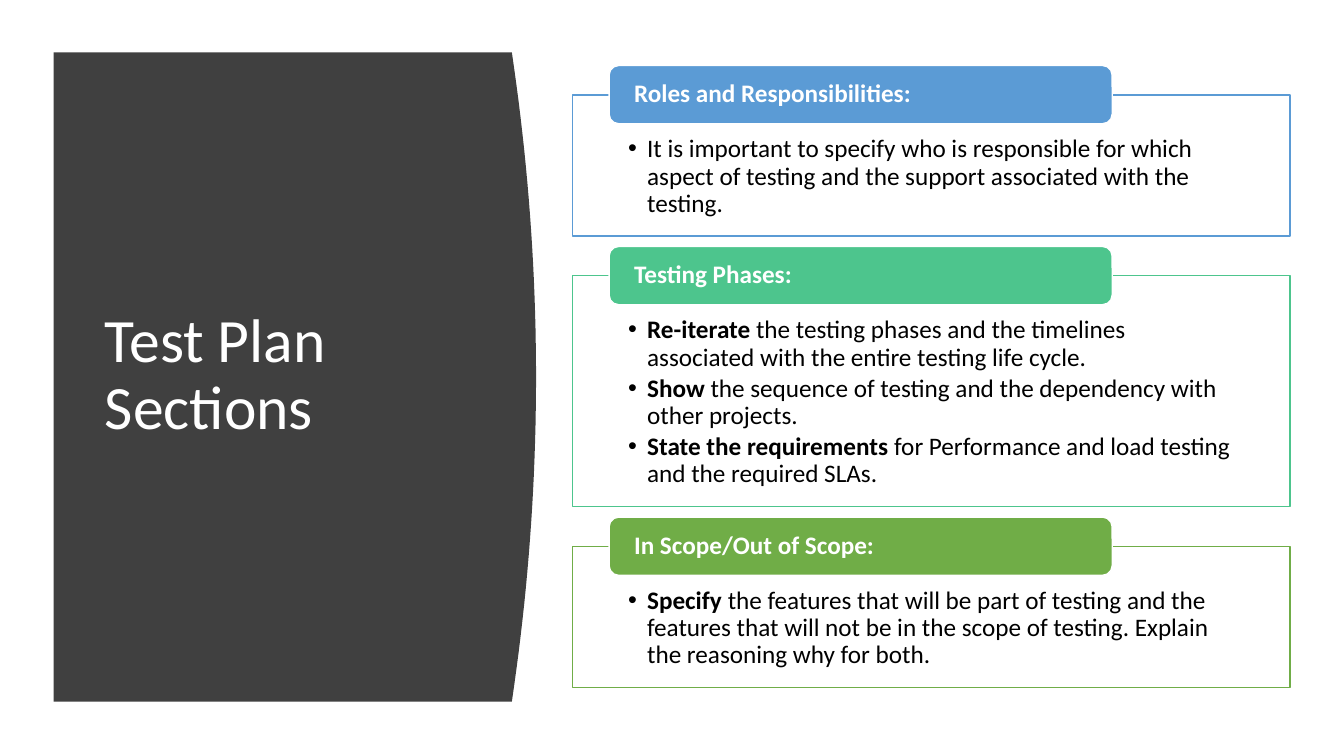
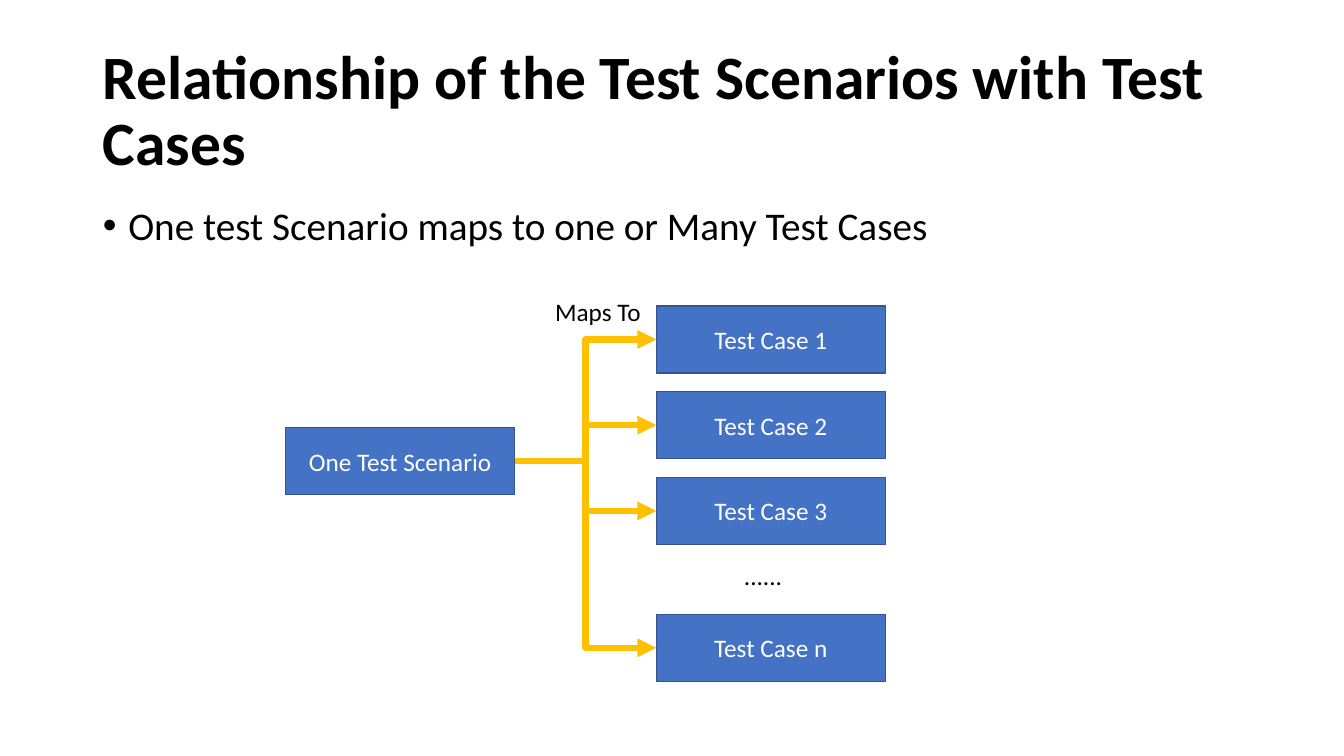
from lxml.etree import SubElement
from pptx import Presentation
from pptx.dml.color import RGBColor
from pptx.enum.shapes import MSO_CONNECTOR, MSO_SHAPE
from pptx.enum.text import MSO_ANCHOR, MSO_AUTO_SIZE, PP_ALIGN
from pptx.oxml.ns import qn
from pptx.util import Cm, Pt

rgb = RGBColor.from_string

WHITE, BLACK, PANEL = "FFFFFF", "000000", "404040"
BOX_FILL, BOX_LINE, ARROW = "4472C4", "325491", "FFC000"

TITLE = {"size": Pt(44), "name": "Calibri"}
BODY = {"size": Pt(28), "name": "Calibri"}
TEXT = {"size": Pt(18), "name": "Calibri"}
TIGHT = {"alignment": PP_ALIGN.LEFT, "line_spacing": 0.9, "space_before": Pt(0)}
LISTED = {**TIGHT, "space_after": Pt(2.7)}
CENTER = {"alignment": PP_ALIGN.CENTER}
MIDDLE = {"vertical_anchor": MSO_ANCHOR.MIDDLE}


def write(sp, lines, font, color, para, frame, indent=0):
    tf = sp.text_frame
    tf.auto_size = MSO_AUTO_SIZE.NONE
    tf.word_wrap = True
    for key, value in frame.items():
        setattr(tf, key, value)
    for i, runs in enumerate(lines):
        p = tf.paragraphs[0] if i == 0 else tf.add_paragraph()
        if indent:
            pPr = p._p.get_or_add_pPr()
            pPr.set("marL", str(Cm(indent)))
            pPr.set("indent", str(-Cm(indent)))
            SubElement(pPr, qn("a:buFont"), typeface="Arial")
            SubElement(pPr, qn("a:buChar"), char="•")
        for key, value in para.items():
            setattr(p, key, value)
        for text, bold in runs:
            r = p.add_run()
            r.text = text
            r.font.bold = bold
            r.font.color.rgb = rgb(color)
            for key, value in font.items():
                setattr(r.font, key, value)


def add_box(s, kind, place, fill, line):
    sp = s.shapes.add_shape(kind, *map(Cm, place))
    sp.shadow.inherit = False
    sp.fill.solid()
    sp.fill.fore_color.rgb = rgb(fill)
    sp.line.color.rgb = rgb(line)
    sp.line.width = Pt(1)
    return sp


prs = Presentation()
prs.slide_width, prs.slide_height = Cm(33.87), Cm(19.05)

slides = []
for layout, title, place, color, bold in [
    (5, "Test Plan Sections", (2.39, 2.82, 9.5, 13.31), WHITE, False),
    (1, "Relationship of the Test Scenarios with Test Cases",
     (2.34, 0.99, 29.21, 3.68), BLACK, True),
]:
    s = prs.slides.add_slide(prs.slide_layouts[layout])
    sp = s.shapes.title
    sp.left, sp.top, sp.width, sp.height = map(Cm, place)
    write(sp, [[(title, bold)]], TITLE, color, TIGHT, MIDDLE)
    slides.append(s)

s = slides[0]
left, top, height, edge, bulge, steps = 1.35, 1.32, 16.36, 12.9, 0.61, 40
curve = []
for i in range(steps + 1):
    t = 2 * i / steps - 1
    curve.append((Cm(edge + bulge * (1 - t * t)), Cm(top + height * i / steps)))
fb = s.shapes.build_freeform(Cm(left), Cm(top))
fb.add_line_segments(curve + [(Cm(left), Cm(top + height))], close=True)
panel = fb.convert_to_shape()
panel.shadow.inherit = False
panel.fill.solid()
panel.fill.fore_color.rgb = rgb(PANEL)
panel.line.fill.background()
s.shapes.title.element.addprevious(panel.element)

sections = [
    ("Roles and Responsibilities:", "5B9BD5", 3.56, [
        [("It is important to specify who is responsible for which aspect of "
          "testing and the support associated with the testing.", False)],
    ]),
    ("Testing Phases:", "4DC58D", 5.82, [
        [("Re-iterate", True),
         (" the testing phases and the timelines associated with the entire "
          "testing life cycle.", False)],
        [("Show", True),
         (" the sequence of testing and the dependency with other projects.", False)],
        [("State the requirements ", True),
         ("for Performance and load testing and the required SLAs.", False)],
    ]),
    ("In Scope/Out of Scope:", "70AD47", 3.56, [
        [("Specify ", True),
         ("the features that will be part of testing and the features that will "
          "not be in the scope of testing. Explain the reasoning why for both.", False)],
    ]),
]
frame_insets = {"margin_left": Cm(1.4), "margin_right": Cm(1.4),
                "margin_top": Cm(1.04), "margin_bottom": Cm(0.36),
                "vertical_anchor": MSO_ANCHOR.TOP}
header_insets = {"margin_left": Cm(0.56), "margin_right": Cm(0.56),
                 "margin_top": 0, "margin_bottom": 0, **MIDDLE}
top, gap = 2.39, 1.0
for heading, color, height, lines in sections:
    sp = add_box(s, MSO_SHAPE.RECTANGLE, (14.43, top, 18.08, height), WHITE, color)
    write(sp, lines, TEXT, BLACK, LISTED, frame_insets, indent=0.48)
    sp = add_box(s, MSO_SHAPE.ROUNDED_RECTANGLE, (15.35, top - 0.74, 12.68, 1.47),
                 color, WHITE)
    write(sp, [[(heading, True)]], TEXT, WHITE, TIGHT, header_insets)
    top += height + gap

s = slides[1]
body = s.placeholders[1]
body.left, body.top, body.width, body.height = map(Cm, (2.34, 5.08, 29.21, 12.09))
write(body, [[("One test Scenario maps to one or Many Test Cases", False)]],
      BODY, BLACK, TIGHT, {"vertical_anchor": MSO_ANCHOR.TOP}, indent=0.64)

for label, place, align in [
    ("Maps To", (13.74, 7.34, 4.42, 1.02), PP_ALIGN.LEFT),
    ("......", (17.02, 14, 4.42, 1.02), PP_ALIGN.CENTER),
]:
    sp = s.shapes.add_textbox(*map(Cm, place))
    write(sp, [[(label, False)]], TEXT, BLACK, {"alignment": align}, {})

boxes = []
first, step = 7.71, 2.16
for label, left, top in [
    ("One Test Scenario", 7.2, 10.78),
    ("Test Case 1", 16.54, first),
    ("Test Case 2", 16.54, first + step),
    ("Test Case 3", 16.54, first + 2 * step),
    ("Test Case n", 16.54, 15.48),
]:
    sp = add_box(s, MSO_SHAPE.RECTANGLE, (left, top, 5.77, 1.69), BOX_FILL, BOX_LINE)
    write(sp, [[(label, False)]], TEXT, WHITE, CENTER, MIDDLE)
    boxes.append(sp)

scenario, *cases = boxes
for case in cases:
    c = s.shapes.add_connector(
        MSO_CONNECTOR.ELBOW,
        scenario.left + scenario.width, scenario.top + scenario.height // 2,
        case.left, case.top + case.height // 2)
    c.begin_connect(scenario, 3)
    c.end_connect(case, 1)
    c.line.color.rgb = rgb(ARROW)
    c.line.width = Pt(4.5)
    SubElement(c.line._get_or_add_ln(), qn("a:tailEnd"), type="triangle")
    SubElement(c.element.spPr, qn("a:effectLst"))

prs.save("out.pptx")
